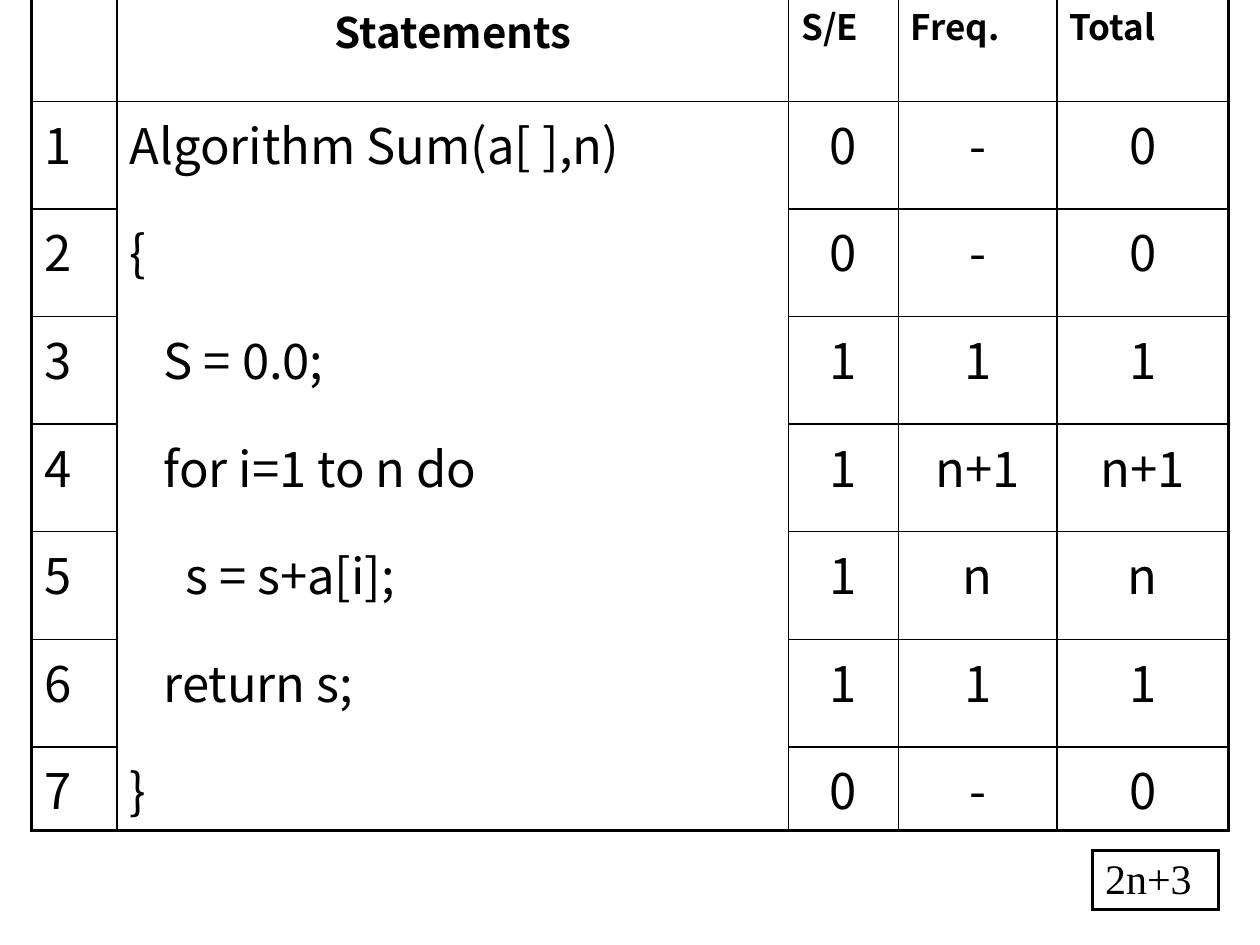
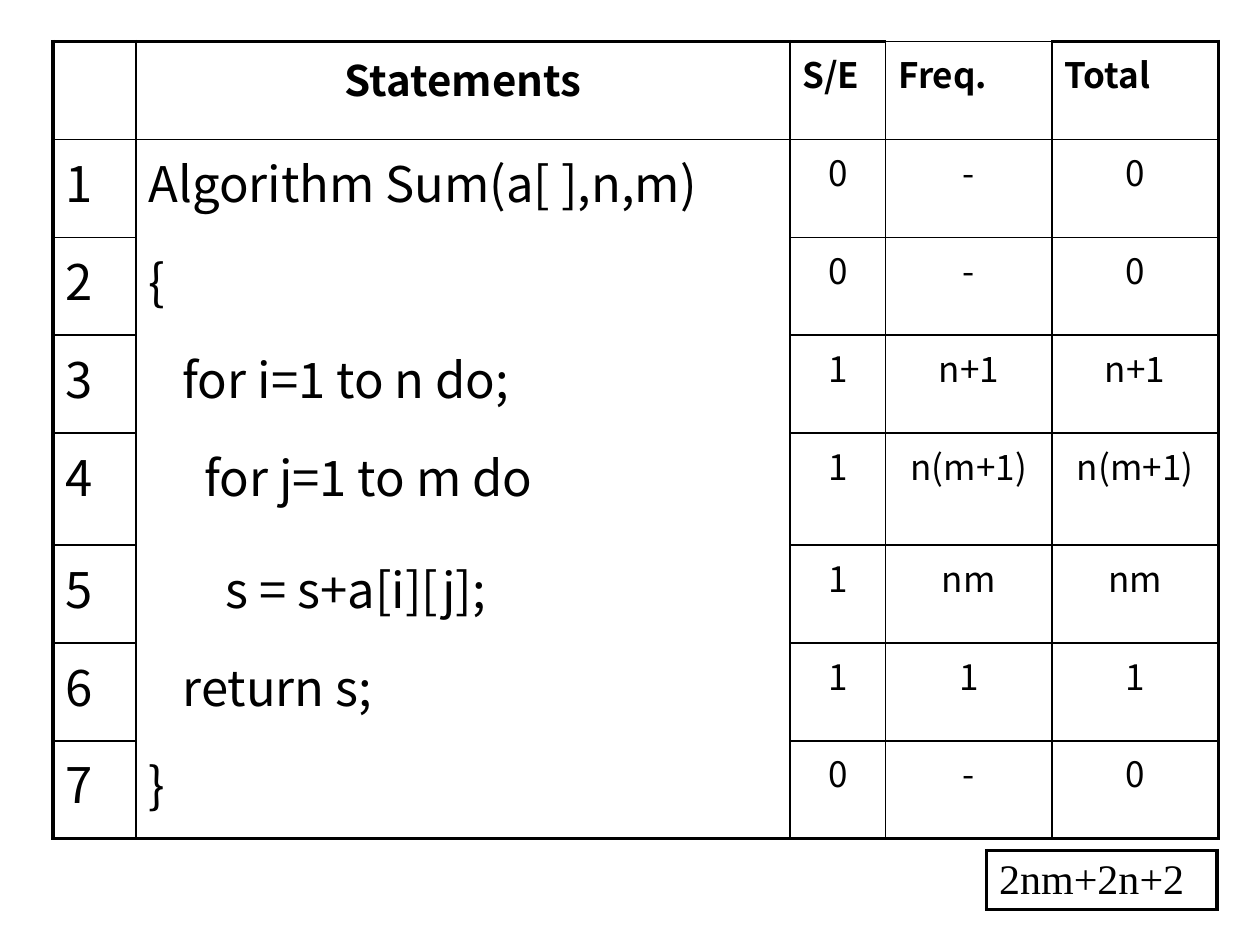
from pptx import Presentation
from pptx.dml.color import RGBColor
from pptx.enum import text
from pptx.oxml import parse_xml
from pptx.oxml.ns import nsdecls
from pptx.util import Inches, Pt

BLACK = RGBColor(0, 0, 0)
SANS, SERIF = "Noto Sans CJK SC", "Times New Roman"
THIN, THICK = 1, 2.25
INSET = 0.1                       # left cell margin, inches
INDENTS = [0, 0.27, 0.44, 0.61]   # code indents by nesting level, inches
HEADER = ["", "Statements", "S/E", "Freq.", "Total"]
CODE, FREQ = 1, 3                 # columns with borders of their own


def write_cell(cell, words, size=28, font=SANS, bold=False, center=False,
               indent=0, borders=(THIN,) * 4):
    """Fill a cell with text; borders are left, right, top, bottom in points."""
    cell.fill.background()
    cell.margin_left = Inches(INSET + indent)
    tc_pr = cell._tc.get_or_add_tcPr()
    for i, (side, width) in enumerate(zip("LRTB", borders)):
        paint = (f'<a:solidFill><a:srgbClr val="{BLACK}"/></a:solidFill>'
                 if width else "<a:noFill/>")
        tc_pr.insert(i, parse_xml(
            f'<a:ln{side} {nsdecls("a")} w="{Pt(width)}">{paint}</a:ln{side}>'))
    p = cell.text_frame.paragraphs[0]
    p.alignment = text.PP_ALIGN.CENTER if center else text.PP_ALIGN.LEFT
    if words:
        r = p.add_run()
        r.text = words
        r.font.name, r.font.size, r.font.bold = font, Pt(size), bold
        r.font.color.rgb = BLACK


def add_grid(s, left, top, widths, heights):
    """Add a plain table with the given column widths and row heights."""
    table = s.shapes.add_table(
        len(heights), len(widths), Inches(left), Inches(top),
        Inches(sum(widths)), Inches(sum(heights))).table
    table.first_row = table.horz_banding = False
    for column, width in zip(table.columns, widths):
        column.width = Inches(width)
    for row, height in zip(table.rows, heights):
        row.height = Inches(height)
    return table


# Each line of an algorithm: nesting level, statement, S/E, frequency, total
SLIDES = [
    dict(left=0.25, top=-0.05, widths=[0.68, 5.33, 0.87, 1.26, 1.36],
         heights=[5.98 / 7] * 7 + [0.66], count_size=28,
         lines=[
             (0, "Algorithm Sum(a[ ],n)", "0", "-", "0"),
             (0, "{", "0", "-", "0"),
             (1, "S = 0.0;", "1", "1", "1"),
             (1, "for i=1 to n do", "1", "n+1", "n+1"),
             (2, "s = s+a[i];", "1", "n", "n"),
             (1, "return s;", "1", "1", "1"),
             (0, "}", "0", "-", "0"),
         ],
         total="2n+3", total_left=8.67, total_width=1),
    dict(left=0.42, top=0.33, widths=[0.66, 5.19, 0.76, 1.32, 1.32],
         heights=[5.44 / 7] * 4 + [0.89] + [5.44 / 7] * 3, count_size=20,
         lines=[
             (0, "Algorithm Sum(a[ ],n,m)", "0", "-", "0"),
             (0, "{", "0", "-", "0"),
             (1, "for i=1 to n do;", "1", "n+1", "n+1"),
             (2, "for j=1 to m do", "1", "n(m+1)", "n(m+1)"),
             (3, "s = s+a[i][j];", "1", "nm", "nm"),
             (1, "return s;", "1", "1", "1"),
             (0, "}", "0", "-", "0"),
         ],
         total="2nm+2n+2", total_left=7.83, total_width=1.83),
]

prs = Presentation()
prs.slide_width, prs.slide_height = Inches(10), Inches(7.5)

for d in SLIDES:
    s = prs.slides.add_slide(prs.slide_layouts[6])
    table = add_grid(s, d["left"], d["top"], d["widths"], d["heights"])
    last_row, last_col = len(d["lines"]), len(HEADER) - 1

    # Header row
    for col, words in enumerate(HEADER):
        write_cell(table.cell(0, col), words, bold=True, center=col == CODE,
                   size=24 if col == CODE else 20,
                   borders=(THICK if col == 0 else THIN,
                            THICK if col == last_col else THIN,
                            THIN if col == FREQ else THICK, THIN))

    # Numbered statements with their step counts
    for row, (level, statement, *counts) in enumerate(d["lines"], 1):
        for col, words in enumerate([str(row), statement, *counts]):
            inner = 0 if col == CODE else THIN
            write_cell(table.cell(row, col), words, center=col > CODE,
                       size=d["count_size"] if col > CODE else 28,
                       indent=INDENTS[level] if col == CODE else 0,
                       borders=(THICK if col == 0 else THIN,
                                THICK if col == last_col else THIN,
                                THIN if row == 1 else inner,
                                THICK if row == last_row else inner))

    # Box with the overall step count
    box = add_grid(s, d["total_left"], 6.75, [d["total_width"]], [0.47])
    write_cell(box.cell(0, 0), d["total"], size=24, font=SERIF,
               borders=(THICK,) * 4)

prs.save("out.pptx")
